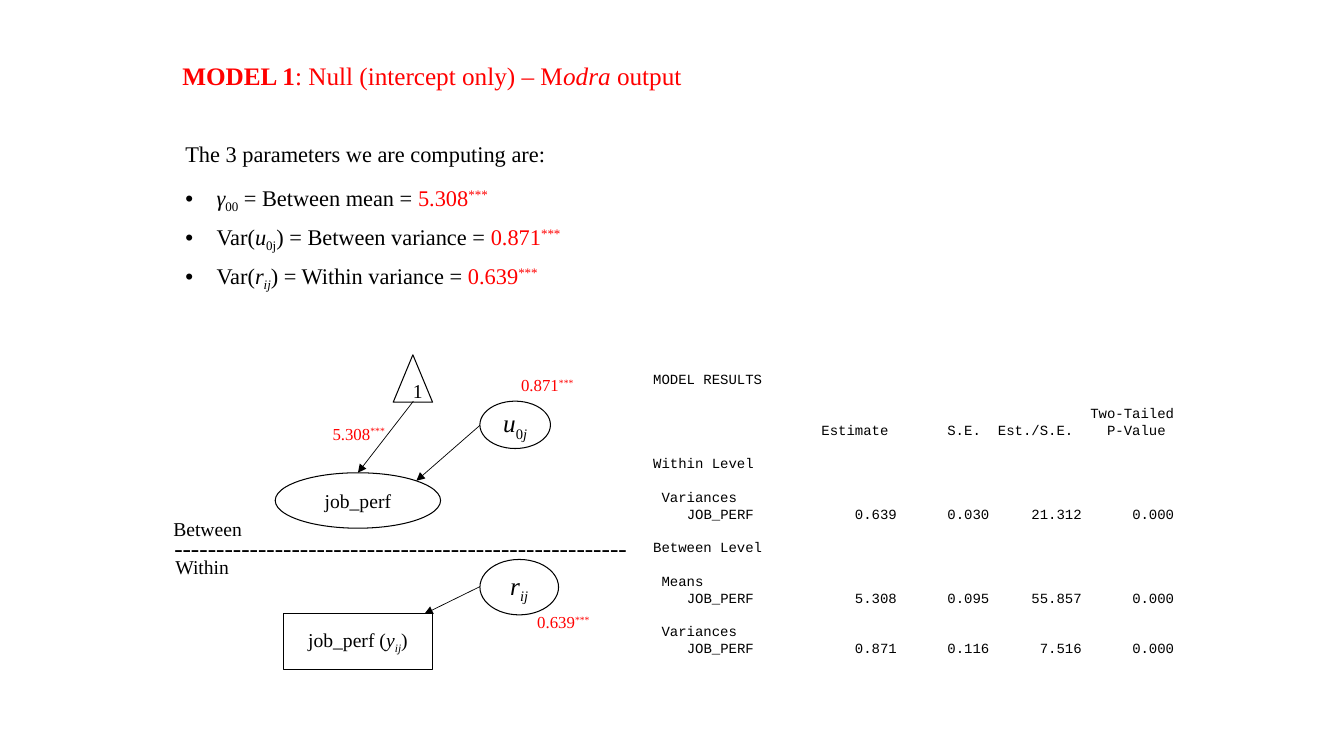
import lxml.etree
import pptx
import pptx.dml.color
import pptx.enum.shapes
import pptx.enum.text
import pptx.oxml.ns
import pptx.util

BLACK = pptx.dml.color.RGBColor(0, 0, 0)
RED = pptx.dml.color.RGBColor(255, 0, 0)
SERIF, MONO = "Times New Roman", "Courier New"
SLIDE_WIDTH, SLIDE_HEIGHT = 13.33, 7.5
CELL = SLIDE_HEIGHT / 75
BASELINES = {"sub": "-25000", "sup": "30000"}
STARS = ("***", "red sup")

TITLE = [("MODEL 1", "red bold"), (": Null (intercept only) – M", "red"),
         ("odra ", "red italic"), ("output", "red")]
INTRO = [("The 3 parameters we are computing are:", "")]
PARAMETERS = [
    [("γ", "italic"), ("00", "sub"), (" = Between mean = ", ""), ("5.308", "red"), STARS],
    [("Var(", ""), ("u", "italic"), ("0j", "sub"), (") = Between variance = ", ""),
     ("0.871", "red"), STARS],
    [("Var(", ""), ("r", "italic"), ("ij", "italic sub"), (") = Within variance = ", ""),
     ("0.639", "red"), STARS],
]

LABELS = [
    (TITLE, (17.1, 5.5, 51.5, 4), 18),
    ([("-" * 54, "")], (16.3, 52.3, 47.5, 4), 18),
    ([("Between", "")], (16.2, 50.8, 9.1, 3.4), 14),
    ([("Within", "")], (16.4, 54.6, 7.4, 3.4), 14),
    ([("0.871", "red"), STARS], (50.7, 36.7, 7.5, 3), 12),
    ([("5.308", "red"), STARS], (32, 41.5, 7.6, 3), 12),
    ([("0.639", "red"), STARS], (52.3, 60.2, 7.5, 3), 12),
]

NODES = {
    "observed": ("RECTANGLE", (28.1, 60.9, 14.8, 5.5), 14,
                 [("job_perf (", ""), ("y", "italic"), ("ij", "italic sub"), (")", "")]),
    "within residual": ("OVAL", (47.6, 55.5, 7.8, 5.5), 18,
                        [("r", "italic"), ("ij", "italic sub")]),
    "between residual": ("OVAL", (47.6, 39.8, 7, 4.7), 18,
                         [("u", "italic"), ("0", "sub"), ("j", "italic sub")]),
    "latent": ("OVAL", (27.3, 46.9, 16.4, 5.5), 14, [("job_perf", "")]),
    "constant": ("ISOSCELES_TRIANGLE", (39, 35.2, 3.9, 4.7), 14, [("1", "")]),
}
ARROWS = [
    ((47.6, 58.2), (42.1, 60.9), None),
    ((47.6, 42.2), (41.3, 47.7), None),
    ((41, 39.8), (35.5, 46.9), "latent"),
]

VALUE_ENDS = [29 + 11 * column for column in range(4)]
STOPS = {
    "plain": [],
    "last": [(VALUE_ENDS[-1], "r")],
    "header": [(end - 1, "r") for end in VALUE_ENDS],
    "group": [(1, "l")],
    "values": [(4, "l")] + [(end, "r") for end in VALUE_ENDS],
}
RESULTS = [
    ("plain", False, ["MODEL RESULTS"]),
    ("last", True, ["", "Two-Tailed"]),
    ("header", False, ["", "Estimate", "S.E.", "Est./S.E.", "P-Value"]),
    ("plain", True, ["Within Level"]),
    ("group", True, ["", "Variances"]),
    ("values", False, ["", "JOB_PERF", "0.639", "0.030", "21.312", "0.000"]),
    ("plain", True, ["Between Level"]),
    ("group", True, ["", "Means"]),
    ("values", False, ["", "JOB_PERF", "5.308", "0.095", "55.857", "0.000"]),
    ("group", True, ["", "Variances"]),
    ("values", False, ["", "JOB_PERF", "0.871", "0.116", "7.516", "0.000"]),
]
RESULT_SIZE, RESULT_PITCH = 10, 12
CHARACTER = pptx.util.Pt(0.6 * RESULT_SIZE)


def cells(values):
    return [pptx.util.Inches(value * CELL) for value in values]


def add_child(parent, tag, **attributes):
    return lxml.etree.SubElement(parent, pptx.oxml.ns.qn(tag), attributes)


def add_text(frame, runs, size=14, font=SERIF, align=None, before=None, after=None,
             pitch=None, bullet=None, stops=()):
    paragraph = frame.paragraphs[0]
    if paragraph.runs:
        paragraph = frame.add_paragraph()
    paragraph.alignment = align
    for name, points in (("line_spacing", pitch), ("space_before", before),
                         ("space_after", after)):
        if points:
            setattr(paragraph, name, pptx.util.Pt(points))
    properties = paragraph._p.get_or_add_pPr()
    if bullet:
        indent = cells([3.1])[0]
        properties.set("marL", str(indent))
        properties.set("indent", str(-indent))
        add_child(properties, "a:buFont", typeface="Arial")
        add_child(properties, "a:buChar", char=bullet)
    if stops:
        tabs = add_child(properties, "a:tabLst")
        for position, side in stops:
            add_child(tabs, "a:tab", pos=str(position * CHARACTER), algn=side)
    for text, style in runs:
        run = paragraph.add_run()
        run.text = text
        words = style.split()
        run.font.name, run.font.size = font, pptx.util.Pt(size)
        run.font.bold, run.font.italic = "bold" in words, "italic" in words
        run.font.color.rgb = RED if "red" in words else BLACK
        for word in words:
            if word in BASELINES:
                run._r.get_or_add_rPr().set("baseline", BASELINES[word])


def add_box(slide, place, wrap):
    frame = slide.shapes.add_textbox(*cells(place)).text_frame
    frame.word_wrap = wrap
    frame.auto_size = pptx.enum.text.MSO_AUTO_SIZE.SHAPE_TO_FIT_TEXT
    return frame


def add_node(slide, kind, place, size, runs):
    shape = slide.shapes.add_shape(getattr(pptx.enum.shapes.MSO_SHAPE, kind), *cells(place))
    shape.shadow.inherit = False
    shape.fill.background()
    shape.line.color.rgb = BLACK
    shape.line.width = pptx.util.Pt(0.75)
    shape.text_frame.vertical_anchor = pptx.enum.text.MSO_ANCHOR.MIDDLE
    add_text(shape.text_frame, runs, size=size, align=pptx.enum.text.PP_ALIGN.CENTER)
    return shape


def add_arrow(slide, start, end, target):
    connector = slide.shapes.add_connector(
        pptx.enum.shapes.MSO_CONNECTOR.STRAIGHT, *cells(start + end))
    if target is not None:
        connector.end_connect(target, 0)
    connector.line.color.rgb = BLACK
    connector.line.width = pptx.util.Pt(0.5)
    add_child(connector.line._get_or_add_ln(), "a:tailEnd", type="triangle")
    add_child(connector._element.spPr, "a:effectLst")


def main():
    presentation = pptx.Presentation()
    presentation.slide_width = pptx.util.Inches(SLIDE_WIDTH)
    presentation.slide_height = pptx.util.Inches(SLIDE_HEIGHT)
    slide = presentation.slides.add_slide(presentation.slide_layouts[6])

    for runs, place, size in LABELS:
        add_text(add_box(slide, place, False), runs, size=size)

    parameters = add_box(slide, (17.4, 13.4, 45, 15.1), True)
    add_text(parameters, INTRO, size=16, after=12)
    for runs in PARAMETERS:
        add_text(parameters, runs, size=16, after=6, bullet="•")

    nodes = {name: add_node(slide, *node) for name, node in NODES.items()}
    for start, end, target in ARROWS:
        add_arrow(slide, start, end, nodes.get(target))

    results = add_box(slide, (63.8, 36.3, 55.5, 29.6), True)
    for kind, gap, fields in RESULTS:
        add_text(results, [("\t".join(fields), "")], size=RESULT_SIZE, font=MONO,
                 pitch=RESULT_PITCH, before=RESULT_PITCH if gap else None,
                 stops=STOPS[kind])

    presentation.save("out.pptx")


if __name__ == "__main__":
    main()
